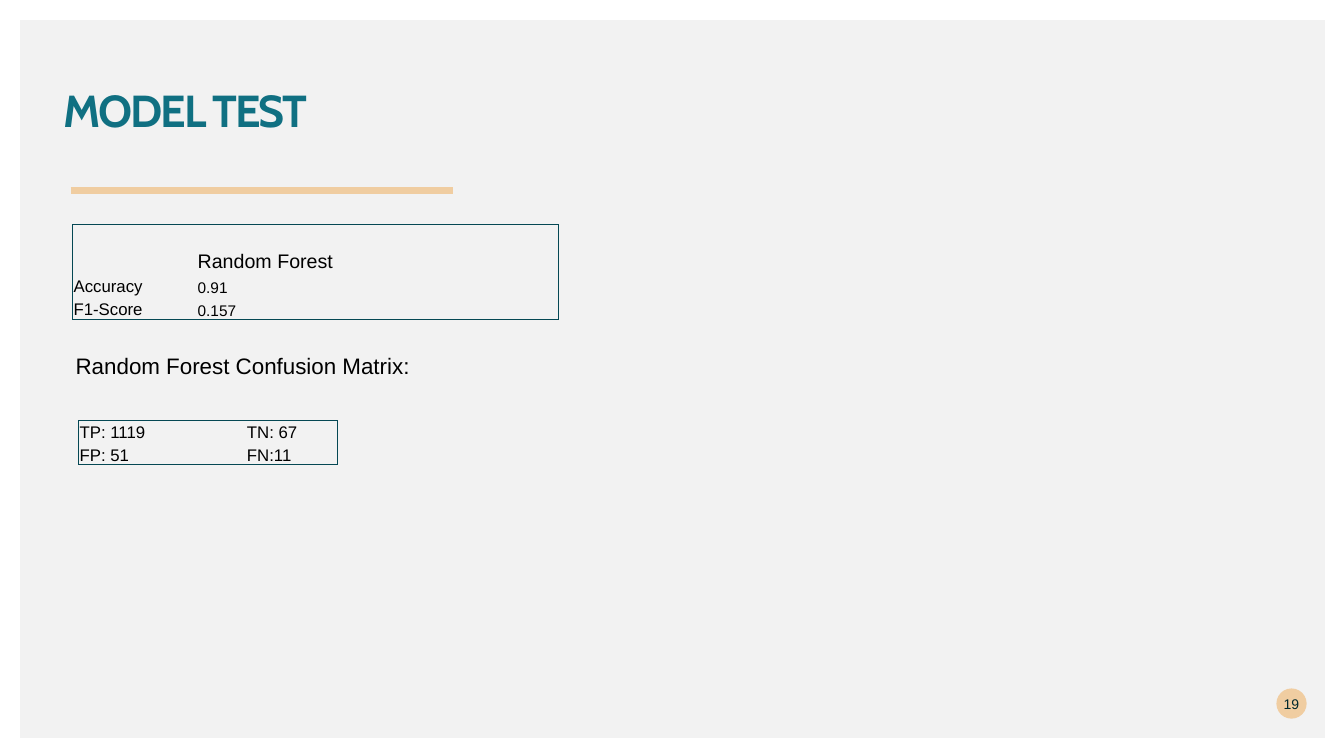
from lxml import etree
from pptx import Presentation
from pptx.dml.color import RGBColor
from pptx.enum import shapes, text
from pptx.oxml.ns import qn
from pptx.util import Inches, Pt

TEAL, SAND, EDGE, BLACK = "107082", "F0CDA1", "054854", "000000"


def color(value):
    return RGBColor.from_string(value)


def write(frame, words, size, font="Arial", ink=BLACK):
    """Put one run into the frame's first paragraph, without margins."""
    frame.margin_left = frame.margin_right = frame.margin_top = frame.margin_bottom = 0
    frame.word_wrap = True
    span = frame.paragraphs[0].add_run()
    span.text = words
    span.font.size, span.font.name = Pt(size), font
    span.font.color.rgb = color(ink)
    return span


deck = Presentation()
deck.slide_width, deck.slide_height = Inches(13.33), Inches(7.5)
page = deck.slides.add_slide(deck.slide_layouts[6])

# Background panel and page number
panel = page.shapes.add_shape(shapes.MSO_SHAPE.RECTANGLE, Inches(0.2), Inches(0.2),
                              Inches(12.94), Inches(7.12))
badge = page.shapes.add_shape(shapes.MSO_SHAPE.OVAL, Inches(12.66), Inches(6.83),
                              Inches(0.3), Inches(0.3))
for shape, fill in ((panel, "F2F2F2"), (badge, SAND)):
    shape.shadow.inherit = False
    shape.fill.solid()
    shape.fill.fore_color.rgb = color(fill)
    shape.line.fill.background()
write(badge.text_frame, "19", 10, ink="00292E")
badge.text_frame.vertical_anchor = text.MSO_ANCHOR.MIDDLE
badge.text_frame.paragraphs[0].alignment = text.PP_ALIGN.CENTER

# Title, rule and subheading
title = page.shapes.add_textbox(Inches(0.63), Inches(0.88), Inches(8.38), Inches(0.86))
span = write(title.text_frame, "MODEL TEST", 32, "Cabin", TEAL)
span.font.bold = True
span.font._element.set("spc", "-150")
title.text_frame.paragraphs[0].line_spacing = 0.9

rule = page.shapes.add_connector(shapes.MSO_CONNECTOR.STRAIGHT, Inches(0.7), Inches(1.89),
                                 Inches(4.49), Inches(1.89))
rule.line.color.rgb, rule.line.width = color(SAND), Pt(4.32)
etree.SubElement(rule._element.spPr, qn("a:effectLst"))

heading = page.shapes.add_textbox(Inches(0.75), Inches(3.49), Inches(11.81), Inches(0.3))
write(heading.text_frame, "Random Forest Confusion Matrix:", 16)

# Tables: left, top, column widths, row heights, rows of (words, size)
scores = [[("", 10), ("Random Forest", 14), ("", 10)],
          [("Accuracy", 12), ("0.91", 11), ("", 10)],
          [("F1-Score", 12), ("0.157", 11), ("", 10)]]
confusion = [[("TP: 1119", 12), ("TN: 67", 12)],
             [("FP: 51", 12), ("FN:11", 12)]]
tables = [(0.72, 2.23, [1.23, 2, 1.59], [0.48, 0.23, 0.23], scores),
          (0.78, 4.17, [1.66, 0.91], [0.22, 0.22], confusion)]

for left, top, widths, heights, rows in tables:
    table = page.shapes.add_table(len(heights), len(widths), Inches(left), Inches(top),
                                  Inches(sum(widths)), Inches(sum(heights))).table
    table.first_row = table.horz_banding = False
    for column, width in zip(table.columns, widths):
        column.width = Inches(width)
    for r, height in enumerate(heights):
        table.rows[r].height = Inches(height)
        for c, (words, size) in enumerate(rows[r]):
            cell = table.cell(r, c)
            if words:
                write(cell.text_frame, words, size)
            else:
                end = etree.SubElement(cell.text_frame.paragraphs[0]._p, qn("a:endParaRPr"))
                end.set("sz", str(size * 100))
            cell.margin_left = cell.margin_right = cell.margin_top = Inches(0.01)
            cell.margin_bottom = 0
            cell.vertical_anchor = text.MSO_ANCHOR.BOTTOM
            cell.fill.background()
            # Only the outer edges of the table are drawn
            outer = [("a:lnL", c == 0), ("a:lnR", c == len(widths) - 1),
                     ("a:lnT", r == 0), ("a:lnB", r == len(heights) - 1)]
            for place, (tag, drawn) in enumerate(outer):
                border = etree.Element(qn(tag), w=str(Pt(0.5)))
                if drawn:
                    fill = etree.SubElement(border, qn("a:solidFill"))
                    etree.SubElement(fill, qn("a:srgbClr"), val=EDGE)
                else:
                    etree.SubElement(border, qn("a:noFill"))
                cell._tc.tcPr.insert(place, border)

deck.save("out.pptx")
